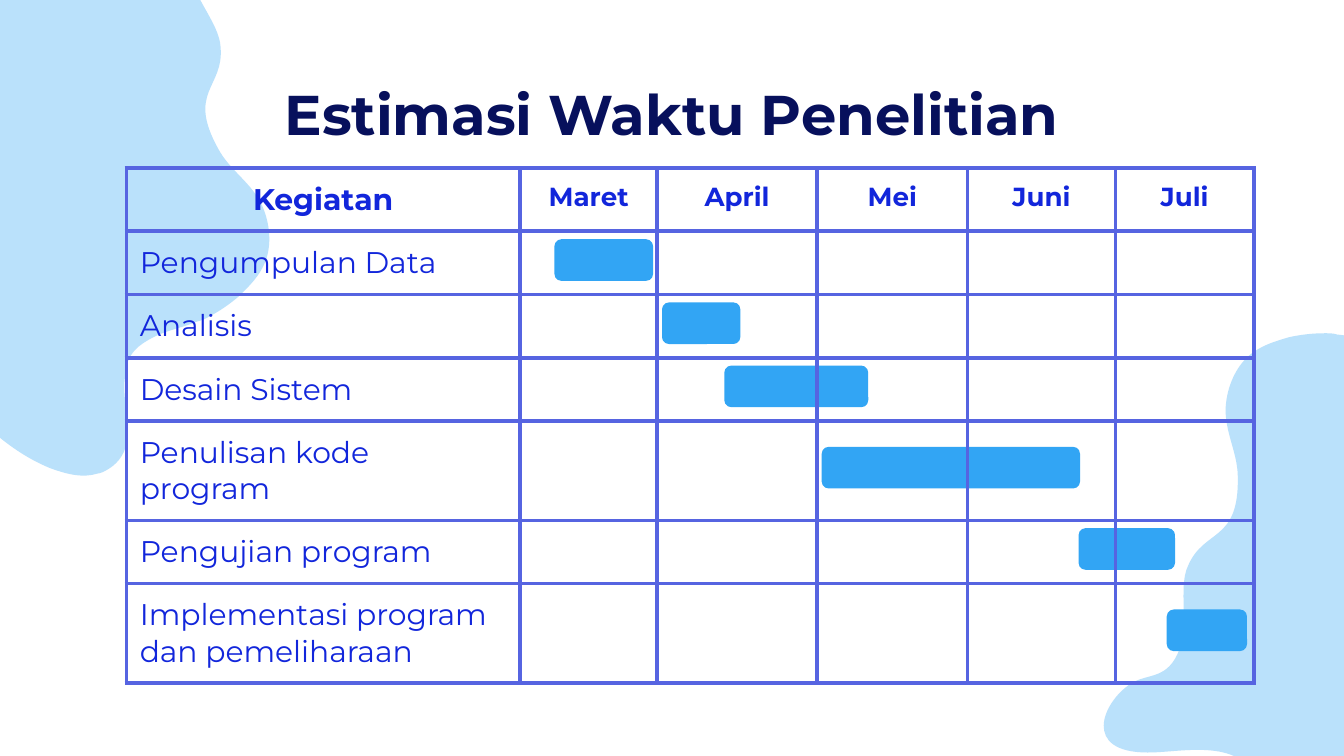
from itertools import accumulate
from math import floor

from lxml.etree import SubElement
from pptx import Presentation
from pptx.dml.color import RGBColor
from pptx.enum.shapes import MSO_SHAPE as Preset
from pptx.enum.text import MSO_ANCHOR as Anchor, MSO_AUTO_SIZE as AutoSize, PP_ALIGN as Align
from pptx.oxml.ns import qn
from pptx.util import Inches, Pt

FONT = "Montserrat"
NAVY, BLUE, GRID, BAR, PALE = "07105C", "1226DB", "5664E1", "32A5F4", "8FCEF9"
MONTHS = ["Maret", "April", "Mei", "Juni", "Juli"]
COLUMNS = [2.93, 1.02, 1.19, 1.12, 1.1, 1.03]
SINGLE, DOUBLE = 0.47, 0.74
ACTIVITIES = [
    ("Pengumpulan Data", SINGLE, 0.25, 0.97),
    ("Analisis", SINGLE, 1.03, 1.52),
    ("Desain Sistem", SINGLE, 1.42, 2.34),
    ("Penulisan kode program", DOUBLE, 2.03, 3.76),
    ("Pengujian program", SINGLE, 3.75, 4.43),
    ("Implementasi program dan pemeliharaan", DOUBLE, 4.37, 4.95),
]
BLOB_SIZE = (421, 427)
BLOB_START = (302, 0)
BLOB_CURVES = [
    (294, 0, 285, 3, 279, 11), (269, 23, 266, 44, 256, 56), (248, 70, 236, 71, 225, 71),
    (213, 71, 202, 67, 190, 66), (187, 65, 184, 65, 181, 65), (172, 65, 163, 66, 154, 68),
    (144, 71, 133, 74, 124, 82), (115, 90, 108, 104, 107, 120), (106, 138, 116, 154, 116, 172),
    (117, 221, 91, 210, 79, 238), (71, 255, 81, 284, 71, 304), (62, 323, 48, 318, 36, 326),
    (15, 340, 0, 377, 49, 377), (60, 377, 73, 375, 86, 375), (103, 375, 119, 378, 129, 393),
    (137, 403, 143, 409, 152, 409), (155, 409, 157, 409, 160, 408), (162, 408, 164, 407, 165, 407),
    (182, 407, 188, 427, 209, 427), (229, 427, 236, 409, 258, 409), (264, 409, 271, 410, 280, 413),
    (283, 414, 286, 415, 289, 415), (302, 415, 311, 403, 321, 399), (325, 398, 330, 397, 334, 397),
    (342, 397, 351, 399, 359, 399), (372, 399, 382, 384, 389, 371), (396, 360, 405, 352, 412, 342),
    (420, 331, 421, 315, 419, 301), (413, 263, 383, 249, 375, 213), (372, 194, 375, 173, 377, 153),
    (379, 103, 364, 52, 338, 21), (329, 11, 320, 3, 309, 1), (307, 0, 304, 0, 302, 0),
]


def rgb(code):
    """Turn a hex string into a colour."""
    return RGBColor.from_string(code)


def set_font(paragraph, size, color, bold=False):
    """Set the font of a whole paragraph."""
    font = paragraph.font
    font.name, font.size, font.bold = FONT, Pt(size), bold
    font.color.rgb = rgb(color)


def fill_flat(shape, color):
    """Give a shape a plain fill without line or shadow."""
    shape.shadow.inherit = False
    shape.fill.solid()
    shape.fill.fore_color.rgb = rgb(color)
    shape.line.fill.background()


def add_blob(slide, left, top, rotation=0):
    """Draw the translucent blob behind the content."""
    width, height = BLOB_SIZE
    builder = slide.shapes.build_freeform(0, 0, scale=9144)
    builder.add_line_segments([(width, 0), (width, height), (0, height)])
    blob = builder.convert_to_shape(Inches(left), Inches(top))
    blob.rotation = rotation
    fill_flat(blob, PALE)
    SubElement(blob._element.spPr.find(".//" + qn("a:srgbClr")), qn("a:alpha"), val="61000")
    outline = blob._element.find(".//" + qn("a:path"))
    for step in list(outline):
        outline.remove(step)
    outline.set("w", str(width))
    outline.set("h", str(height))
    steps = [("a:moveTo", BLOB_START)] + [("a:cubicBezTo", curve) for curve in BLOB_CURVES]
    for tag, numbers in steps:
        step = SubElement(outline, qn(tag))
        for x, y in zip(numbers[::2], numbers[1::2]):
            SubElement(step, qn("a:pt"), x=str(x), y=str(y))
    SubElement(outline, qn("a:close"))


def add_title(slide, left, top, width, height):
    """Place and format the slide title."""
    title = slide.shapes.title
    title.left, title.top = Inches(left), Inches(top)
    title.width, title.height = Inches(width), Inches(height)
    frame = title.text_frame
    frame.text = "Estimasi Waktu Penelitian"
    frame.auto_size, frame.vertical_anchor = AutoSize.NONE, Anchor.TOP
    frame.margin_left = frame.margin_right = frame.margin_top = frame.margin_bottom = Inches(0.1)
    frame.paragraphs[0].alignment = Align.CENTER
    set_font(frame.paragraphs[0], 30, NAVY, True)


def add_bars(slide, left, top, height=0.31, lift=0.02):
    """Draw one bar per activity, from its start to its end in months."""
    edges = list(accumulate(COLUMNS, initial=left))[1:]

    def month_x(month):
        """Find the position of a point in time."""
        index = floor(month)
        return edges[index] + (month - index) * COLUMNS[index + 1]

    row_top = top + SINGLE
    for _, row_height, start, end in ACTIVITIES:
        bar_top = row_top + (row_height - height) / 2 - lift
        bar = slide.shapes.add_shape(
            Preset.ROUNDED_RECTANGLE, Inches(month_x(start)), Inches(bar_top),
            Inches(month_x(end) - month_x(start)), Inches(height))
        fill_flat(bar, BAR)
        row_top += row_height


def add_borders(cell):
    """Draw the grid lines around a cell."""
    properties = cell._tc.get_or_add_tcPr()
    for position, side in enumerate(("a:lnL", "a:lnR", "a:lnT", "a:lnB")):
        line = properties.makeelement(qn(side), {"w": str(Pt(2.25))})
        SubElement(SubElement(line, qn("a:solidFill")), qn("a:srgbClr"), val=GRID)
        properties.insert(position, line)


def add_schedule(slide, left, top):
    """Place the table of activities and months."""
    heights = [SINGLE] + [activity[1] for activity in ACTIVITIES]
    schedule = slide.shapes.add_table(
        len(heights), len(COLUMNS), Inches(left), Inches(top),
        Inches(sum(COLUMNS)), Inches(sum(heights))).table
    schedule.first_row = schedule.horz_banding = False
    for column, width in zip(schedule.columns, COLUMNS):
        column.width = Inches(width)
    for row, height in zip(schedule.rows, heights):
        row.height = Inches(height)
    texts = [["Kegiatan"] + MONTHS]
    texts += [[activity[0]] + [""] * len(MONTHS) for activity in ACTIVITIES]
    for r, row_texts in enumerate(texts):
        for c, text in enumerate(row_texts):
            cell = schedule.cell(r, c)
            cell.text = text
            cell.fill.background()
            cell.margin_left = cell.margin_right = Inches(0.1)
            cell.margin_top = cell.margin_bottom = Inches(0.1)
            paragraph = cell.text_frame.paragraphs[0]
            paragraph.alignment = Align.CENTER if r == 0 else Align.LEFT
            set_font(paragraph, 14 if c else 16, BLUE, r == 0)
            add_borders(cell)


def build():
    """Build the timeline slide and save it."""
    deck = Presentation()
    deck.slide_width, deck.slide_height = Inches(10), Inches(10 * 9 / 16)
    slide = deck.slides.add_slide(deck.slide_layouts[5])
    add_blob(slide, -1.51, -0.95, 152)
    add_blob(slide, 8.05, 1.83)
    add_title(slide, 0.5, 0.49, 9, 0.63)
    add_bars(slide, 0.94, 1.25)
    add_schedule(slide, 0.94, 1.25)
    deck.save("out.pptx")


build()
